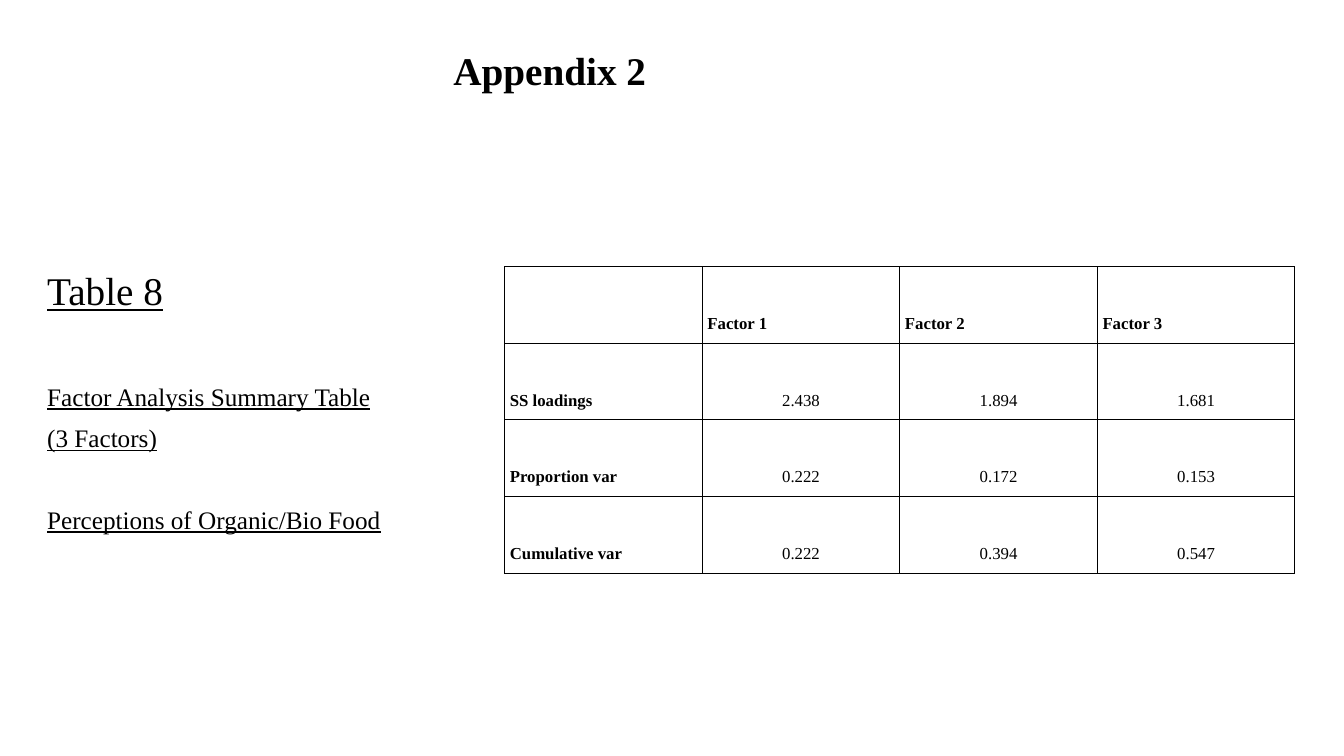
from lxml import etree
from pptx import Presentation
from pptx import util as u
from pptx.dml import color
from pptx.enum import text
from pptx.oxml import ns

FONT = "Times New Roman"
BLACK = "000000"
COLUMN_WIDTH, ROW_HEIGHT = 141.12, 54.72

FACTOR_ROWS = [
    ["", "Factor 1", "Factor 2", "Factor 3"],
    ["SS loadings", "2.438", "1.894", "1.681"],
    ["Proportion var", "0.222", "0.172", "0.153"],
    ["Cumulative var", "0.222", "0.394", "0.547"],
]

# Caption lines: wording, size, space before
CAPTION = [
    ("Table 8", 28, 10),
    ("Factor Analysis Summary Table", 18, 50),
    ("(3 Factors)", 18, 10),
    ("Perceptions of Organic/Bio Food", 18, 39),
]


def set_color(target, value):
    target.rgb = color.RGBColor.from_string(value)


def add_run(paragraph, wording, size, bold=False, underline=False):
    run = paragraph.add_run()
    run.text = wording
    font = run.font
    font.name, font.size = FONT, u.Pt(size)
    font.bold, font.underline = bold, underline
    set_color(font.color, BLACK)


def add_text_box(slide, left, top, width, height, lines, anchor, **style):
    shape = slide.shapes.add_textbox(u.Pt(left), u.Pt(top), u.Pt(width), u.Pt(height))
    frame = shape.text_frame
    frame.word_wrap = True
    frame.vertical_anchor = anchor
    for index, (wording, size, space) in enumerate(lines):
        paragraph = frame.add_paragraph() if index else frame.paragraphs[0]
        paragraph.line_spacing = 0.9
        paragraph.space_before = u.Pt(space)
        add_run(paragraph, wording, size, **style)


def add_borders(cell, width=0.75):
    properties = cell._tc.get_or_add_tcPr()
    for index, side in enumerate(("lnL", "lnR", "lnT", "lnB")):
        line = etree.Element(ns.qn(f"a:{side}"), w=str(u.Pt(width)))
        fill = etree.SubElement(line, ns.qn("a:solidFill"))
        etree.SubElement(fill, ns.qn("a:srgbClr"), val=BLACK)
        properties.insert(index, line)


def fill_cell(cell, wording, is_heading):
    cell.fill.background()
    add_borders(cell)
    cell.vertical_anchor = text.MSO_ANCHOR.BOTTOM
    cell.margin_left = u.Pt(3.7 if is_heading else 0.7)
    cell.margin_right = cell.margin_top = u.Pt(0.7)
    cell.margin_bottom = u.Pt(7.2)
    paragraph = cell.text_frame.paragraphs[0]
    if not is_heading:
        paragraph.alignment = text.PP_ALIGN.CENTER
        paragraph.line_spacing = 1.15
    if wording:
        add_run(paragraph, wording, 12, bold=is_heading)


def add_factor_table(slide, left, top, rows):
    row_count, column_count = len(rows), len(rows[0])
    table = slide.shapes.add_table(
        row_count, column_count, u.Pt(left), u.Pt(top),
        u.Pt(COLUMN_WIDTH * column_count), u.Pt(ROW_HEIGHT * row_count)).table
    table.first_row = table.horz_banding = False
    for column in table.columns:
        column.width = u.Pt(COLUMN_WIDTH)
    for row_index, row in enumerate(rows):
        table.rows[row_index].height = u.Pt(ROW_HEIGHT)
        for column_index, wording in enumerate(row):
            is_heading = row_index == 0 or column_index == 0
            fill_cell(table.cell(row_index, column_index), wording, is_heading)


def main():
    presentation = Presentation()
    presentation.slide_width, presentation.slide_height = u.Pt(960), u.Pt(540)
    slide = presentation.slides.add_slide(presentation.slide_layouts[6])

    # Title
    add_text_box(slide, 316.8, 12.24, 828, 79.2, [("Appendix 2", 28, 0)],
                 text.MSO_ANCHOR.MIDDLE, bold=True)
    # Caption on the left
    add_text_box(slide, 26.64, 190.8, 408.24, 342.72, CAPTION,
                 text.MSO_ANCHOR.TOP, underline=True)
    # Factor table on the right
    add_factor_table(slide, 360.5, 190.5, FACTOR_ROWS)

    presentation.save("out.pptx")


if __name__ == "__main__":
    main()
